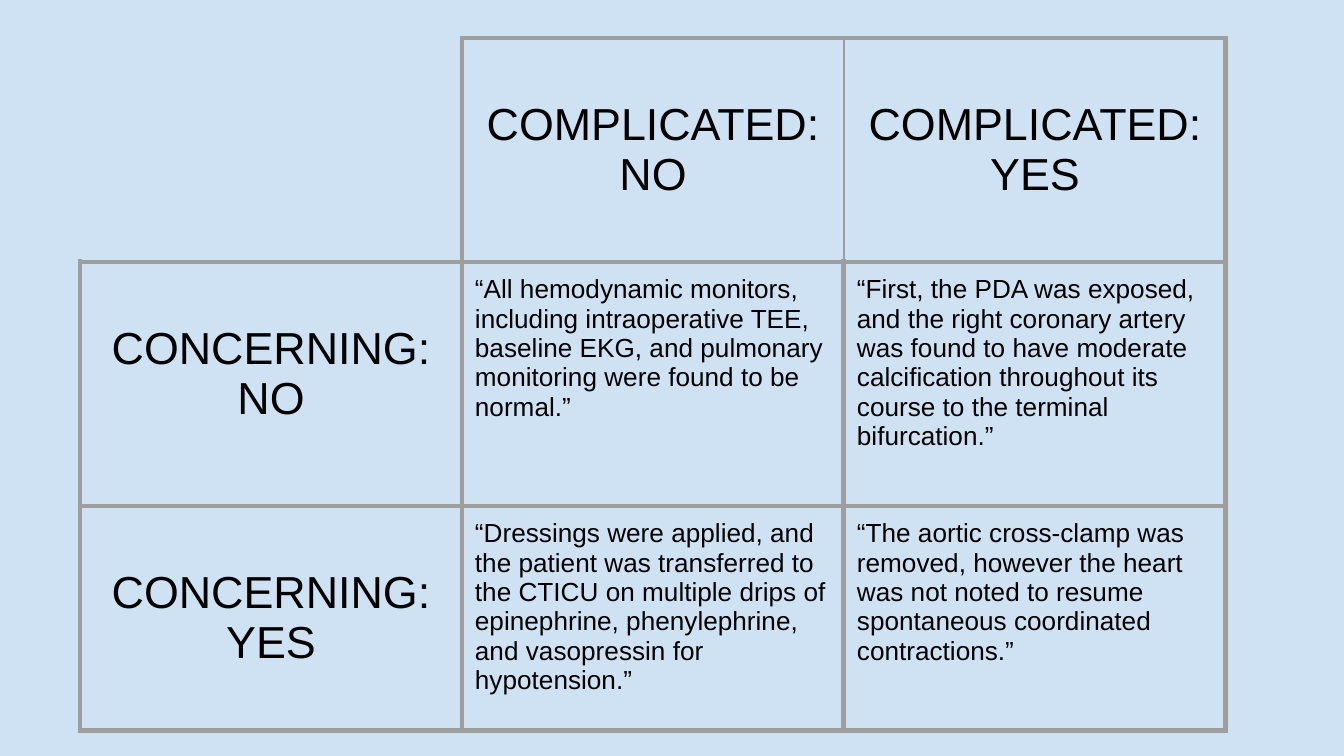
from lxml.etree import SubElement
from pptx import Presentation
from pptx.dml.color import RGBColor as RGB
from pptx.enum.text import PP_ALIGN as ALIGN
from pptx.oxml.ns import qn
from pptx.util import Pt

PX = 6803.57  # EMU in one px
COLORS = {"back": "CFE2F3", "line": "9E9E9E", "text": "000000"}
FONT = "Arial"
LEFT, TOP = 80, 38
COLS = [382, 382, 382]
ROWS = [224, 244, 225]
PAD, DROP = 13, 62  # cell margin, and top margin above a heading
THICK, THIN = 3, 0.75

GRID = [
    ["", "COMPLICATED:\nNO", "COMPLICATED:\nYES"],
    ["CONCERNING:\nNO",
     "“All hemodynamic monitors, including intraoperative TEE, baseline EKG, "
     "and pulmonary monitoring were found to be normal.”",
     "“First, the PDA was exposed, and the right coronary artery was found to "
     "have moderate calcification throughout its course to the terminal "
     "bifurcation.”"],
    ["CONCERNING:\nYES",
     "“Dressings were applied, and the patient was transferred to the CTICU on "
     "multiple drips of epinephrine, phenylephrine, and vasopressin for "
     "hypotension.”",
     "“The aortic cross-clamp was removed, however the heart was not noted to "
     "resume spontaneous coordinated contractions.”"],
]


def px(n):
    return round(n * PX)


def border(cell, side, width):
    """Draw one side (L, R, T or B) of a cell; width 0 hides it."""
    line = SubElement(cell._tc.get_or_add_tcPr(), qn(f"a:ln{side}"),
                      w=str(Pt(width)))
    if width:
        fill = SubElement(line, qn("a:solidFill"))
        SubElement(fill, qn("a:srgbClr"), val=COLORS["line"])
    else:
        SubElement(line, qn("a:noFill"))


def widths(row, col):
    """Corner cell is open at left and top; the header divider is thin."""
    sides = dict.fromkeys("LRTB", THICK)
    if row == col == 0:
        sides.update(L=0, T=0)
    elif row == 0:
        sides["R" if col == 1 else "L"] = THIN
    return sides


def fill_cell(cell, text, head):
    cell.text = text
    cell.margin_left = cell.margin_right = cell.margin_bottom = px(PAD)
    cell.margin_top = px(DROP if head else PAD)
    for para in cell.text_frame.paragraphs:
        para.alignment = ALIGN.CENTER if head else ALIGN.LEFT
        para.font.name = FONT
        para.font.size = Pt(24 if head else 14)
        para.font.color.rgb = RGB.from_string(COLORS["text"])


def main():
    deck = Presentation()
    deck.slide_width, deck.slide_height = px(1344), px(756)
    slide = deck.slides.add_slide(deck.slide_layouts[6])
    back = slide.background.fill
    back.solid()
    back.fore_color.rgb = RGB.from_string(COLORS["back"])

    table = slide.shapes.add_table(
        len(ROWS), len(COLS), px(LEFT), px(TOP),
        px(sum(COLS)), px(sum(ROWS))).table
    table.first_row = table.horz_banding = False
    for col, wide in zip(table.columns, COLS):
        col.width = px(wide)
    for row, high in zip(table.rows, ROWS):
        row.height = px(high)

    for r, texts in enumerate(GRID):
        for c, text in enumerate(texts):
            cell = table.cell(r, c)
            fill_cell(cell, text, head=r == 0 or c == 0)
            for side, width in widths(r, c).items():
                border(cell, side, width)
            cell.fill.background()

    deck.save("out.pptx")


if __name__ == "__main__":
    main()
